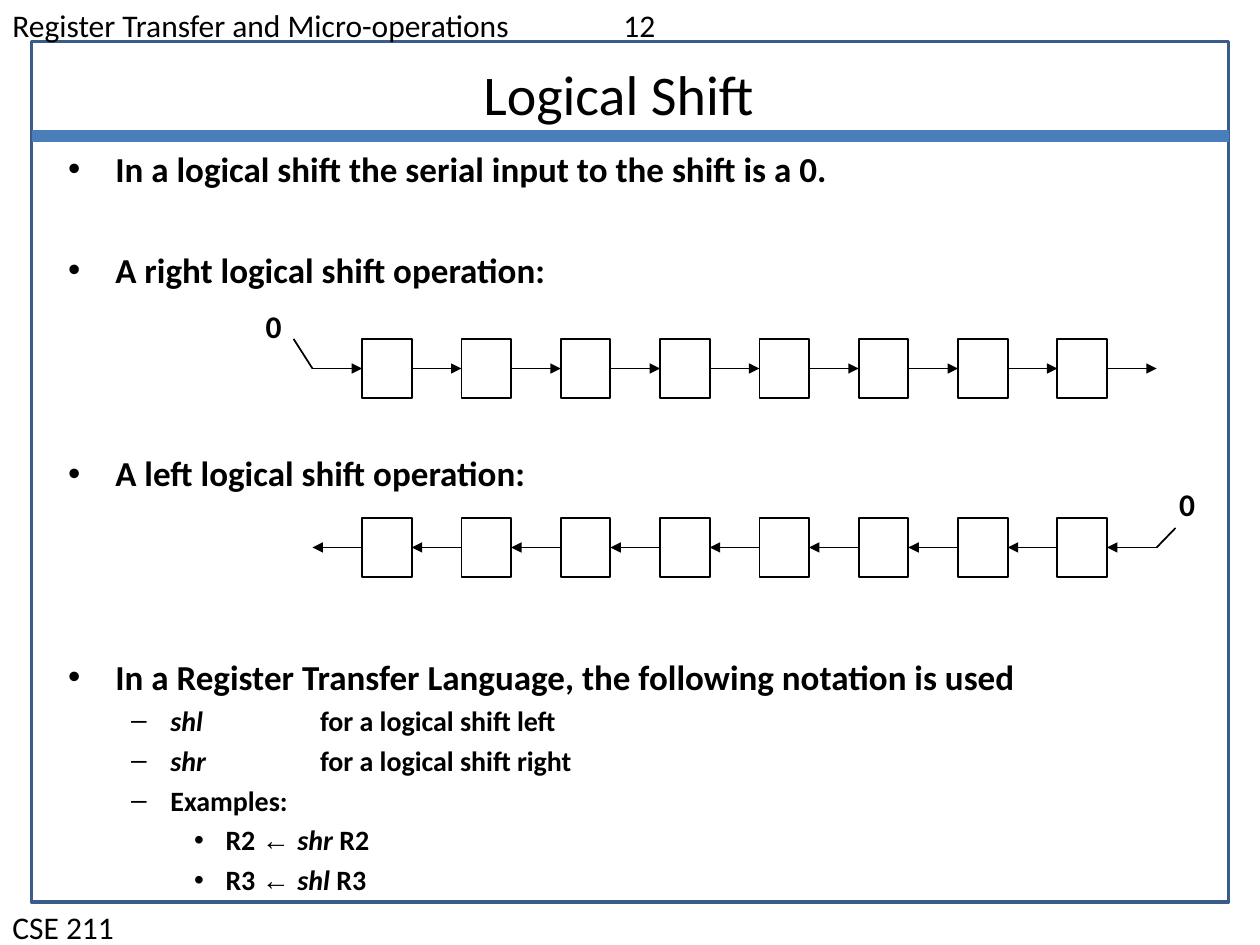
from lxml import etree
from pptx import Presentation
from pptx.dml.color import RGBColor
from pptx.enum.shapes import MSO_CONNECTOR, MSO_SHAPE
from pptx.enum.text import MSO_ANCHOR, MSO_AUTO_SIZE, PP_ALIGN
from pptx.oxml.ns import qn
from pptx.util import Inches, Pt

LINE = MSO_CONNECTOR.STRAIGHT
RECT = MSO_SHAPE.RECTANGLE
TOP = MSO_ANCHOR.TOP
FIXED = MSO_AUTO_SIZE.NONE
LEFT, MID = PP_ALIGN.LEFT, PP_ALIGN.CENTER
BLACK, EDGE, RULE = "000000", "385D8A", "4A7EBB"
CELLS = 8


def color(code):
    return RGBColor.from_string(code)


def place(shape, box):
    shape.left, shape.top, shape.width, shape.height = map(Inches, box)


def write(para, text, size=18, bold=False, italic=False, font="Calibri"):
    run = para.add_run()
    run.text = text
    run.font.size, run.font.name = Pt(size), font
    run.font.bold, run.font.italic = bold, italic
    run.font.color.rgb = color(BLACK)


def set_tab(para, pos):
    props = para._p.get_or_add_pPr()
    tabs = etree.SubElement(props, qn("a:tabLst"))
    etree.SubElement(tabs, qn("a:tab"), pos=str(Inches(pos)), algn="l")


def label(shapes, box, text, tab=None, wrap=True, **form):
    frame = shapes.add_textbox(*map(Inches, box)).text_frame
    frame.word_wrap = wrap
    para = frame.paragraphs[0]
    para.alignment = LEFT
    if tab:
        set_tab(para, tab)
    write(para, text, **form)


def outline(shapes, box, code, width):
    rect = shapes.add_shape(RECT, *map(Inches, box))
    rect.shadow.inherit = False
    rect.fill.background()
    rect.line.color.rgb, rect.line.width = color(code), Pt(width)


def stroke(shapes, start, end, code=BLACK, width=1, arrow=False):
    line = shapes.add_connector(LINE, *map(Inches, (*start, *end)))
    line.line.color.rgb, line.line.width = color(code), Pt(width)
    if arrow:
        etree.SubElement(line.line._get_or_add_ln(), qn("a:tailEnd"),
                         type="triangle")
    etree.SubElement(line._element.spPr, qn("a:effectLst"))


def page(slide, box):
    """Frame, title rule, header and footer."""
    x, y, w, h = box
    outline(slide.shapes, box, EDGE, 2)
    stroke(slide.shapes, (x, y + 0.75), (x + w, y + 0.75), RULE, 6.75)
    label(slide.shapes, (0, 0, 10, 0.4),
          "Register Transfer and Micro-operations\t12", tab=4.85)
    label(slide.shapes, (0, y + h, 10, 0.4), "CSE 211")


def head(slide, box, text):
    title = slide.shapes.title
    place(title, box)
    frame = title.text_frame
    frame.auto_size, frame.vertical_anchor = FIXED, TOP
    frame.paragraphs[0].alignment = MID
    write(frame.paragraphs[0], text, size=32)


def points(slide, box, items):
    """Bulleted list; each item is level, space before and styled parts."""
    body = slide.placeholders[1]
    place(body, box)
    frame = body.text_frame
    frame.auto_size, frame.vertical_anchor = FIXED, TOP
    for i, (level, space, parts) in enumerate(items):
        para = frame.add_paragraph() if i else frame.paragraphs[0]
        para.level, para.space_before = level, Pt(space)
        if level == 1:
            set_tab(para, 2)
        for text, form in parts:
            write(para, text, size=16 if level else 20, bold=True, **form)


def register(slide, box, right, feed, zero):
    """Row of cells joined by arrows, with a zero fed in at one end."""
    shapes = slide.shapes.add_group_shape().shapes
    x, y, w, h = box
    step = w / (2 * CELLS + 1)
    mid = y + h / 2
    for i in range(CELLS + 1):
        near = x + 2 * i * step
        ends = [(near, mid), (near + step, mid)]
        stroke(shapes, *(ends if right else ends[::-1]), arrow=True)
        if i < CELLS:
            outline(shapes, (near + step, y, step, h), BLACK, 1)
    stroke(shapes, (x if right else x + w, mid), feed)
    label(shapes, (*zero, 0.32, 0.4), "0", wrap=False, bold=True)


SLANT, ARROW = {"italic": True}, {"font": "Arial"}


def sample(reg, code):
    return 2, 3.6, [(reg + " ", {}), ("\u2190 ", ARROW), (code, SLANT),
                    (" " + reg, {})]


def usage(code, text):
    return 1, 3.6, [(code + "\t", SLANT), (text, {})]


def main():
    deck = Presentation()
    deck.slide_width, deck.slide_height = Inches(10), Inches(7.5)
    slide = deck.slides.add_slide(deck.slide_layouts[1])
    page(slide, (0.25, 0.33, 9.5, 6.83))
    head(slide, (0.75, 0.42, 8.42, 0.64), "Logical Shift ")
    points(slide, (0.44, 1.12, 8.97, 6.21), [
        (0, 4.8, [("In a logical shift the serial input to the shift is a 0.",
                   {})]),
        (0, 34, [("A right logical shift operation:", {})]),
        (0, 92, [("A left logical shift operation:", {})]),
        (0, 92, [("In a Register Transfer Language, the following notation "
                  "is used", {})]),
        usage("shl", "for a logical shift left"),
        usage("shr", "for a logical shift right"),
        (1, 3.6, [("Examples:", {})]),
        sample("R2", "shr"),
        sample("R3", "shl"),
    ])
    # Right shift, then left shift
    register(slide, (2.48, 2.69, 6.7, 0.47), True, (2.33, 2.69), (2.01, 2.39))
    register(slide, (2.48, 4.11, 6.7, 0.47), False, (9.33, 4.19), (9.26, 3.8))
    deck.save("out.pptx")


main()
